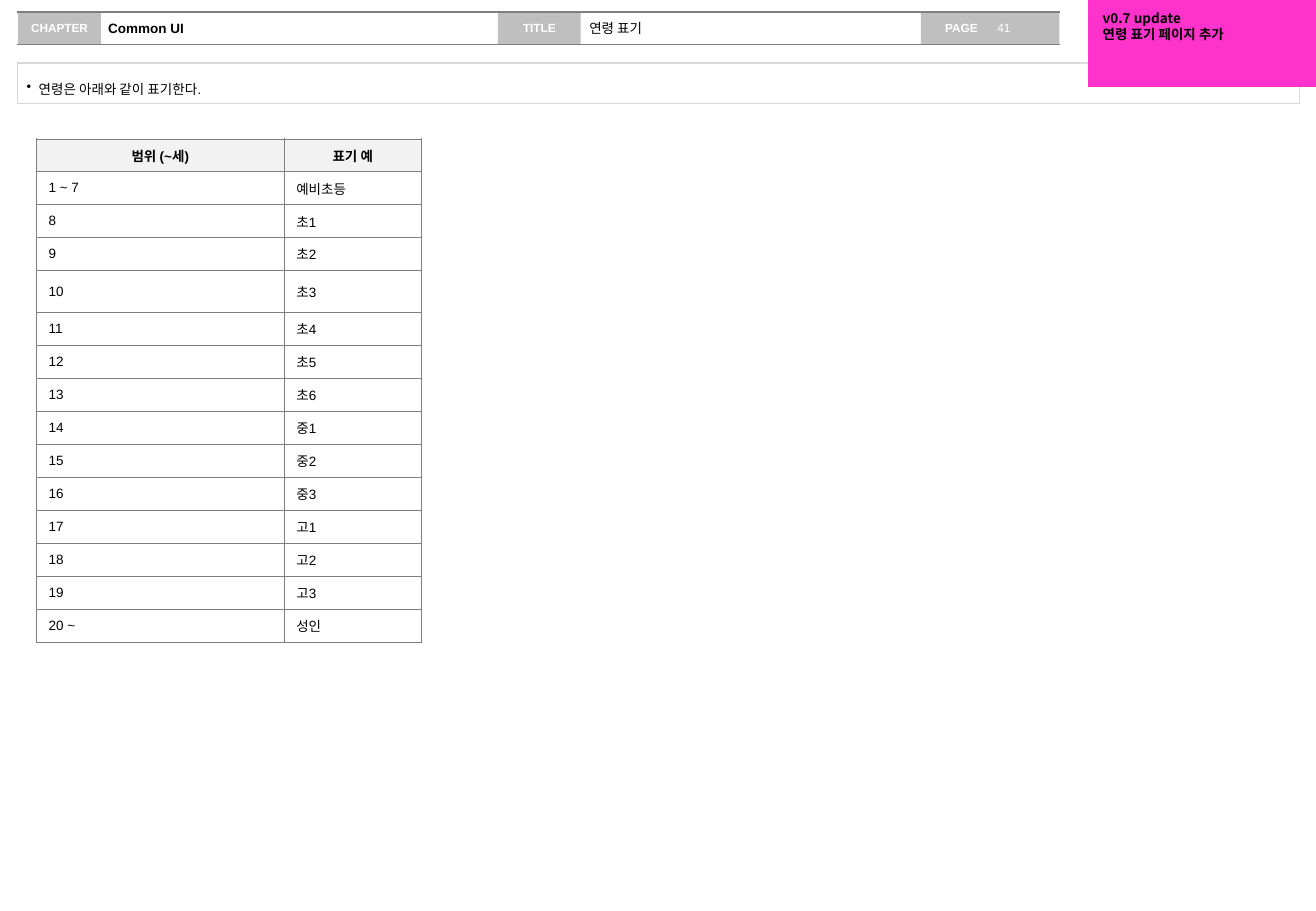
from dataclasses import dataclass

from lxml import etree
from pptx import Presentation
from pptx.dml.color import RGBColor
from pptx.enum.shapes import MSO_CONNECTOR, MSO_SHAPE
from pptx.enum.text import MSO_ANCHOR, PP_ALIGN
from pptx.oxml.ns import qn
from pptx.util import Cm, Pt

RECT = MSO_SHAPE.RECTANGLE
STRAIGHT = MSO_CONNECTOR.STRAIGHT
TOP, MIDDLE = MSO_ANCHOR.TOP, MSO_ANCHOR.MIDDLE
LEFT, CENTER = PP_ALIGN.LEFT, PP_ALIGN.CENTER
LATIN, KOREAN = "Arial", "Noto Sans CJK KR"
BLACK, WHITE, GRAY = "000000", "FFFFFF", "BFBFBF"
RULE, BORDER, HEAD_FILL = "7F7F7F", "808080", "F2F2F2"
BAR_TOP, BAR_HEIGHT = 0.25, 0.68
ROW_HEIGHT, TALL_ROW_HEIGHT, TALL_ROW = 0.69, 0.88, 4
COL_WIDTHS = (5.18, 2.87)

AGES = ["1 ~ 7", *map(str, range(8, 20)), "20 ~"]
GRADES = ["예비초등", *(f"초{n}" for n in range(1, 7)), *(f"중{n}" for n in range(1, 4)),
          *(f"고{n}" for n in range(1, 4)), "성인"]


@dataclass
class Box:
    """A rectangle with text; lengths and insets (left, top, right, bottom) are in cm."""
    lines: tuple[str, ...]
    left: float
    top: float
    width: float
    height: float
    insets: tuple[float, float, float, float] = (0.15, 0.13, 0, 0.13)
    fill: str | None = None
    line: str | None = None
    color: str = BLACK
    size: float = 8
    bold: bool = False
    font: str = LATIN
    align: PP_ALIGN = LEFT
    anchor: MSO_ANCHOR = TOP
    wrap: bool = True
    bullet: bool = False
    space_before: float = 0


def label(text: str, left: float, width: float = 1.73, align: PP_ALIGN = CENTER,
          inset: float = 0.25) -> Box:
    return Box((text,), left, BAR_TOP, width, BAR_HEIGHT, (inset, 0.13, 0.25, 0.13),
               fill=GRAY, color=WHITE, size=7, bold=True, align=align, anchor=MIDDLE,
               wrap=False)


HEADER = [
    label("PAGE", 19.25, 2.9, LEFT, 0.51),
    Box(("41",), 20.75, 0.3, 1.4, 0.56, (0.1, 0.13, 0, 0.13), color=WHITE, size=7),
    label("CHAPTER", 0.38),
    label("TITLE", 10.41),
    Box(("Common UI",), 2.11, 0.28, 8.31, 0.61, bold=True),
    Box(("연령 표기",), 12.17, 0.28, 7.11, 0.61, space_before=1.6),
]
NOTES = [
    Box(("연령은 아래와 같이 표기한다.",), 0.36, 1.32, 26.8, 0.85, (0.2, 0.2, 0.2, 0.2),
        line="D9D9D9", bullet=True),
    Box(("v0.7 update", "연령 표기 페이지 추가"), 22.75, 0, 4.76, 1.82,
        (0.3, 0.2, 0.25, 0.13), fill="FF33CC", bold=True, font=KOREAN),
]


def rgb(color: str) -> RGBColor:
    return RGBColor.from_string(color)


def write(p, text: str, *, size: float = 8, color: str = BLACK, bold: bool = False,
          font: str = LATIN, align: PP_ALIGN = LEFT) -> None:
    p.alignment = align
    r = p.add_run()
    r.text = text
    r.font.size = Pt(size)
    r.font.bold = bold
    r.font.name = font
    r.font.color.rgb = rgb(color)
    etree.SubElement(r.font._element, qn("a:ea"), typeface=KOREAN)


def add_bullet(p) -> None:
    p.line_spacing = 1.5
    pPr = p._p.get_or_add_pPr()
    pPr.set("marL", str(Cm(0.25)))
    pPr.set("indent", str(Cm(-0.25)))
    etree.SubElement(pPr, qn("a:buChar"), char="•")


def add_box(s, box: Box) -> None:
    sp = s.shapes.add_shape(RECT, Cm(box.left), Cm(box.top), Cm(box.width), Cm(box.height))
    sp.shadow.inherit = False
    if box.fill:
        sp.fill.solid()
        sp.fill.fore_color.rgb = rgb(box.fill)
    else:
        sp.fill.background()
    if box.line:
        sp.line.color.rgb = rgb(box.line)
        sp.line.width = Pt(0.75)
    else:
        sp.line.fill.background()
    tf = sp.text_frame
    tf.word_wrap = box.wrap
    tf.vertical_anchor = box.anchor
    tf.margin_left, tf.margin_top, tf.margin_right, tf.margin_bottom = map(Cm, box.insets)
    for i, text in enumerate(box.lines):
        p = tf.add_paragraph() if i else tf.paragraphs[0]
        write(p, text, size=box.size, color=box.color, bold=box.bold, font=box.font,
              align=box.align)
        if box.space_before:
            p.space_before = Pt(box.space_before)
        if box.bullet:
            add_bullet(p)


def add_rule(s, y: float) -> None:
    line = s.shapes.add_connector(STRAIGHT, Cm(0.36), Cm(y), Cm(22.15), Cm(y))
    line.line.color.rgb = rgb(RULE)
    line.line.width = Pt(0.75)
    etree.SubElement(line._element.spPr, qn("a:effectLst"))


def set_borders(cell) -> None:
    tcPr = cell._tc.get_or_add_tcPr()
    for side in ("lnL", "lnR", "lnT", "lnB"):
        ln = etree.SubElement(tcPr, qn(f"a:{side}"), w=str(Pt(0.25)))
        fill = etree.SubElement(ln, qn("a:solidFill"))
        etree.SubElement(fill, qn("a:srgbClr"), val=BORDER)


def add_age_table(s) -> None:
    rows = [("범위 (~세)", "표기 예"), *zip(AGES, GRADES)]
    heights = [TALL_ROW_HEIGHT if i == TALL_ROW else ROW_HEIGHT for i in range(len(rows))]
    table = s.shapes.add_table(len(rows), len(COL_WIDTHS), Cm(0.76), Cm(2.9),
                               Cm(sum(COL_WIDTHS)), Cm(sum(heights))).table
    for col, width in zip(table.columns, COL_WIDTHS):
        col.width = Cm(width)
    for i, (texts, height) in enumerate(zip(rows, heights)):
        table.rows[i].height = Cm(height)
        head = i == 0
        for j, text in enumerate(texts):
            cell = table.cell(i, j)
            set_borders(cell)
            cell.fill.solid()
            cell.fill.fore_color.rgb = rgb(HEAD_FILL if head else WHITE)
            cell.vertical_anchor = MIDDLE
            write(cell.text_frame.paragraphs[0], text, bold=head,
                  align=CENTER if head else LEFT)


def main() -> None:
    prs = Presentation()
    prs.slide_width, prs.slide_height = Cm(27.51), Cm(19.05)
    s = prs.slides.add_slide(prs.slide_layouts[6])
    for box in HEADER:
        add_box(s, box)
    for y in (BAR_TOP, BAR_TOP + BAR_HEIGHT):
        add_rule(s, y)
    add_age_table(s)
    for box in NOTES:
        add_box(s, box)
    prs.save("out.pptx")


if __name__ == "__main__":
    main()
